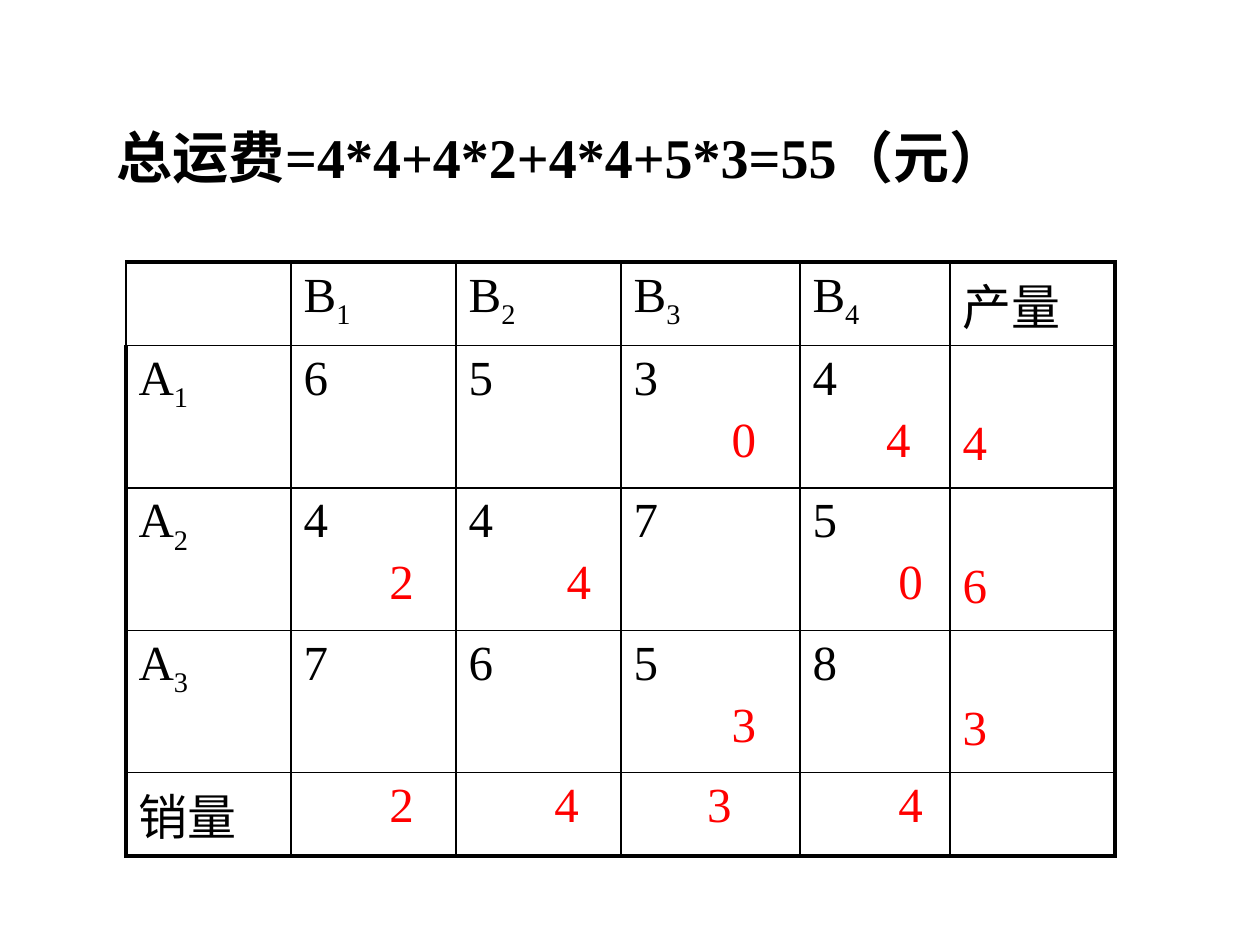
from dataclasses import dataclass

from lxml.etree import SubElement
from pptx import Presentation
from pptx.dml.color import RGBColor
from pptx.enum.text import MSO_ANCHOR
from pptx.oxml.ns import qn
from pptx.util import Inches, Pt


@dataclass(frozen=True)
class Theme:
    font: str = "Times New Roman"
    ink: RGBColor = RGBColor(0, 0, 0)
    accent: RGBColor = RGBColor(255, 0, 0)
    title_size: float = 32
    cell_size: float = 28
    inner_line: float = 1
    outer_line: float = 2.25


THEME = Theme()
TITLE = "总运费=4*4+4*2+4*4+5*3=55（元）"
MARKETS = ["B1", "B2", "B3", "B4"]
PLANTS = ["A1", "A2", "A3"]
COSTS = [[6, 5, 3, 4], [4, 4, 7, 5], [7, 6, 5, 8]]
# (plant, market): (units shipped, indent in steps)
SHIPMENTS = {
    (0, 2): (0, 8), (0, 3): (4, 6),
    (1, 0): (2, 7), (1, 1): (4, 8), (1, 3): (0, 7),
    (2, 2): (3, 8),
}
SUPPLY = [4, 6, 3]
DEMAND = [(2, 7), (4, 7), (3, 6), (4, 7)]

COLUMN_WIDTHS = [1.31, 1.31, 1.31, 1.42, 1.19, 1.31]
ROW_HEIGHTS = [0.57, 1.13, 1.13, 1.13, 0.57]
INDENT_STEP = THEME.cell_size / 4  # points


def style_run(run, size, color, bold=False):
    run.font.name = THEME.font
    run.font.size = Pt(size)
    run.font.bold = bold
    run.font.color.rgb = color


def write(paragraph, text, color=THEME.ink, steps=0):
    if steps:
        properties = paragraph._p.get_or_add_pPr()
        properties.set("marL", str(Pt(steps * INDENT_STEP)))
        properties.set("indent", "0")
    run = paragraph.add_run()
    run.text = str(text)
    style_run(run, THEME.cell_size, color)
    return run


def write_label(cell, label):
    """Write a letter followed by its index as a subscript."""
    paragraph = cell.text_frame.paragraphs[0]
    write(paragraph, label[0])
    index = write(paragraph, label[1:])
    index.font._element.set("baseline", "-25000")


def set_borders(cell, widths):
    """Draw the left, right, top and bottom borders, ahead of the cell fill."""
    properties = cell._tc.get_or_add_tcPr()
    for position, (side, width) in enumerate(zip("LRTB", widths)):
        line = SubElement(properties, qn(f"a:ln{side}"), w=str(Pt(width)))
        fill = SubElement(line, qn("a:solidFill"))
        SubElement(fill, qn("a:srgbClr"), val=str(THEME.ink))
        properties.insert(position, line)


def add_title(slide):
    box = slide.shapes.add_textbox(Inches(0.83), Inches(0.92), Inches(7.75), Inches(0.63))
    box.text_frame.word_wrap = True
    box.text_frame.text = TITLE
    style_run(box.text_frame.paragraphs[0].runs[0], THEME.title_size, THEME.ink, bold=True)


def add_grid(slide):
    row_count, column_count = len(ROW_HEIGHTS), len(COLUMN_WIDTHS)
    table = slide.shapes.add_table(
        row_count, column_count, Inches(1), Inches(2.08),
        Inches(sum(COLUMN_WIDTHS)), Inches(sum(ROW_HEIGHTS)),
    ).table
    table.first_row = table.horz_banding = False
    for column, width in zip(table.columns, COLUMN_WIDTHS):
        column.width = Inches(width)
    for row, height in zip(table.rows, ROW_HEIGHTS):
        row.height = Inches(height)

    thin, thick = THEME.inner_line, THEME.outer_line
    for r in range(row_count):
        for c in range(column_count):
            cell = table.cell(r, c)
            cell.fill.background()
            set_borders(cell, (
                thick if c == 0 and r > 0 else thin,
                thick if c == column_count - 1 else thin,
                thick if r == 0 else thin,
                thick if r == row_count - 1 else thin,
            ))
    return table


def fill_grid(table):
    last_row, last_column = len(ROW_HEIGHTS) - 1, len(COLUMN_WIDTHS) - 1
    write(table.cell(0, last_column).text_frame.paragraphs[0], "产量")
    write(table.cell(last_row, 0).text_frame.paragraphs[0], "销量")

    for m, (market, (demand, steps)) in enumerate(zip(MARKETS, DEMAND)):
        write_label(table.cell(0, m + 1), market)
        total = table.cell(last_row, m + 1).text_frame.paragraphs[0]
        write(total, demand, THEME.accent, steps)

    for p, (plant, costs, supply) in enumerate(zip(PLANTS, COSTS, SUPPLY)):
        write_label(table.cell(p + 1, 0), plant)
        for m, cost in enumerate(costs):
            text_frame = table.cell(p + 1, m + 1).text_frame
            write(text_frame.paragraphs[0], cost)
            if (p, m) in SHIPMENTS:
                units, steps = SHIPMENTS[p, m]
                paragraph = text_frame.add_paragraph()
                paragraph.space_before = Pt(4.4)
                write(paragraph, units, THEME.accent, steps)
        total = table.cell(p + 1, last_column)
        total.vertical_anchor = MSO_ANCHOR.BOTTOM
        total.margin_bottom = Inches(0.13)
        write(total.text_frame.paragraphs[0], supply, THEME.accent)


def main():
    presentation = Presentation()
    presentation.slide_width = Inches(10)
    presentation.slide_height = Inches(7.5)
    slide = presentation.slides.add_slide(presentation.slide_layouts[6])
    fill_grid(add_grid(slide))
    add_title(slide)
    presentation.save("out.pptx")


if __name__ == "__main__":
    main()
